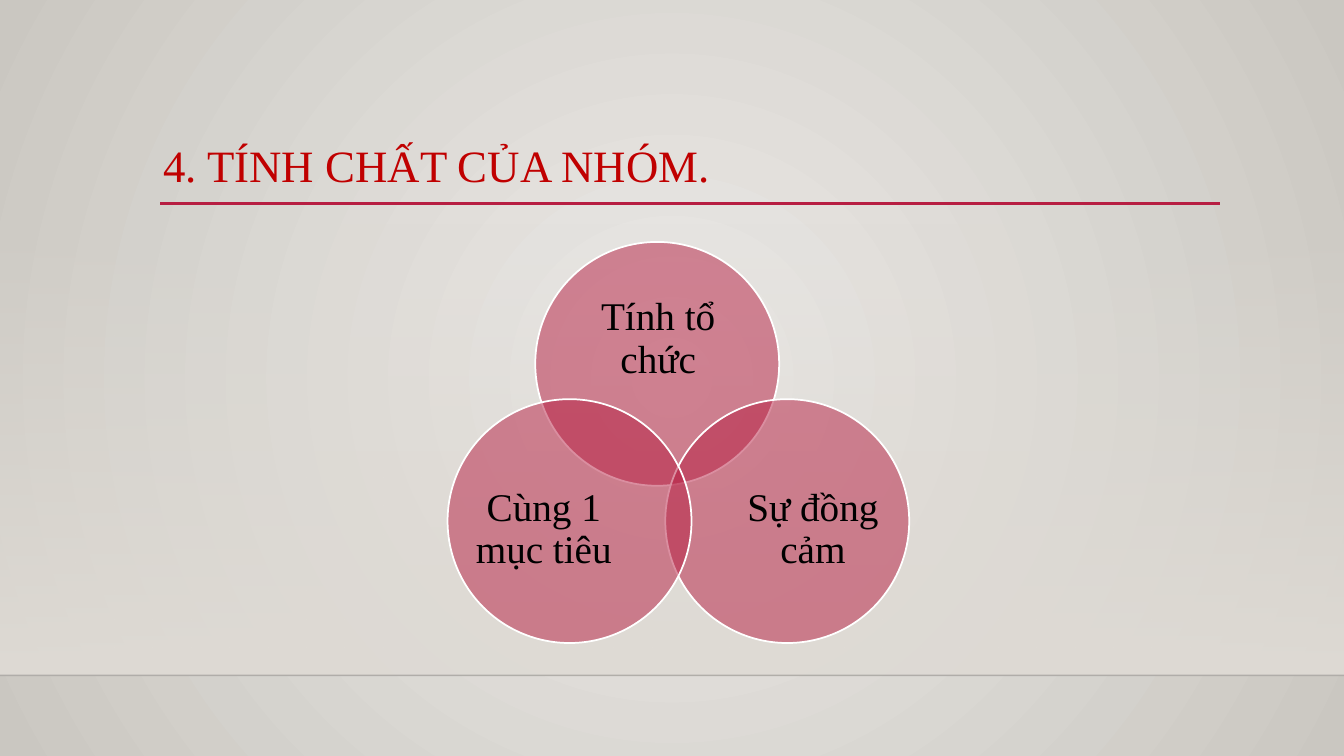
from lxml import etree
from pptx import Presentation
from pptx.dml.color import RGBColor
from pptx.enum.shapes import MSO_CONNECTOR, MSO_SHAPE
from pptx.enum.text import MSO_ANCHOR, PP_ALIGN
from pptx.oxml.ns import qn
from pptx.util import Inches, Pt

STRAIGHT = MSO_CONNECTOR.STRAIGHT
RECTANGLE, OVAL = MSO_SHAPE.RECTANGLE, MSO_SHAPE.OVAL
TOP, MIDDLE = MSO_ANCHOR.TOP, MSO_ANCHOR.MIDDLE
LEFT, CENTER = PP_ALIGN.LEFT, PP_ALIGN.CENTER

WIDTH, HEIGHT = Inches(13.33), Inches(7.5)
COLUMNS, ROWS = 40, 30
FONT = "Times New Roman"
CRIMSON = "B71E42"
DIAMETER = 7.26
LOWER_ROW = 15.84

CIRCLES = [
    ("Tính tổ chức", (15.93, 9.6), (16.92, 11.28, 5.34, 4.36)),
    ("Sự đồng cảm", (19.8, LOWER_ROW), (22.02, 18.36, 4.35, 5.32)),
    ("Cùng 1 mục tiêu", (13.32, LOWER_ROW), (14.01, 18.36, 4.35, 5.32)),
]


def color(value):
    return RGBColor.from_string(value)


def across(columns):
    return round(WIDTH * columns / COLUMNS)


def down(rows):
    return round(HEIGHT * rows / ROWS)


def box(left, top, width, height):
    return across(left), down(top), across(width), down(height)


def apply(target, values):
    for name, value in values.items():
        setattr(target, name, value)


def set_alpha(color_element, percent):
    alpha = etree.SubElement(color_element, qn("a:alpha"))
    alpha.set("val", str(percent * 1000))


def set_gradient(fill, *values):
    fill.gradient()
    for stop, value in zip(fill.gradient_stops, values):
        stop.color.rgb = color(value)


def paint_background(slide):
    set_gradient(slide.background.fill, "ECEAE7", "CAC7C1")
    linear = next(slide.element.iter(qn("a:lin")))
    gradient = linear.getparent()
    gradient.remove(linear)
    circle = etree.SubElement(gradient, qn("a:path"))
    circle.set("path", "circle")
    center = etree.SubElement(circle, qn("a:fillToRect"))
    for side in "ltrb":
        center.set(side, "50000")


def add_floor(slide, area):
    shape = slide.shapes.add_shape(RECTANGLE, *box(*area))
    shape.shadow.inherit = False
    set_gradient(shape.fill, "DFDBD5", "DFDBD5")
    shape.fill.gradient_angle = 270
    set_alpha(next(shape.element.iter(qn("a:srgbClr"))), 0)
    shape.line.fill.background()


def add_rule(slide, start, end, row, value, weight, opacity=100):
    rule = slide.shapes.add_connector(
        STRAIGHT, across(start), down(row), across(end), down(row))
    rule.line.color.rgb = color(value)
    rule.line.width = Pt(weight)
    if opacity < 100:
        set_alpha(next(rule.element.iter(qn("a:srgbClr"))), opacity)
    etree.SubElement(rule.element.spPr, qn("a:effectLst"))


def add_circle(slide, left, top):
    width = across(DIAMETER)
    circle = slide.shapes.add_shape(OVAL, across(left), down(top), width, width)
    circle.shadow.inherit = False
    circle.fill.solid()
    circle.fill.fore_color.rgb = color(CRIMSON)
    set_alpha(next(circle.element.iter(qn("a:srgbClr"))), 50)
    circle.line.color.rgb = color("FFFFFF")
    circle.line.width = Pt(1.25)


def add_text(slide, text, area, size, value, alignment, anchor, margins):
    frame = slide.shapes.add_textbox(*box(*area)).text_frame
    side, edge = map(Inches, margins)
    apply(frame, {
        "word_wrap": True, "vertical_anchor": anchor,
        "margin_left": side, "margin_right": side,
        "margin_top": edge, "margin_bottom": edge,
    })
    paragraph = frame.paragraphs[0]
    apply(paragraph, {"alignment": alignment, "line_spacing": 0.9})
    run = paragraph.add_run()
    run.text = text
    apply(run.font, {"name": FONT, "size": Pt(size)})
    run.font.color.rgb = color(value)


def main():
    presentation = Presentation()
    apply(presentation, {"slide_width": WIDTH, "slide_height": HEIGHT})
    slide = presentation.slides.add_slide(presentation.slide_layouts[6])
    paint_background(slide)
    add_floor(slide, (0, 8.84, COLUMNS, 17.96))
    add_rule(slide, 0, COLUMNS, 26.8, "000001", 1, opacity=20)
    add_rule(slide, 4.77, 36.3, 8.08, CRIMSON, 2.5)
    add_text(slide, "4. TÍNH CHẤT CỦA NHÓM.", (4.56, 5.52, 31.5, 4.64),
             32, "C00000", LEFT, TOP, (0.1, 0.05))
    for label, corner, label_area in CIRCLES:
        add_circle(slide, *corner)
        add_text(slide, label, label_area, 28, "000000", CENTER, MIDDLE, (0, 0))
    presentation.save("out.pptx")


if __name__ == "__main__":
    main()
